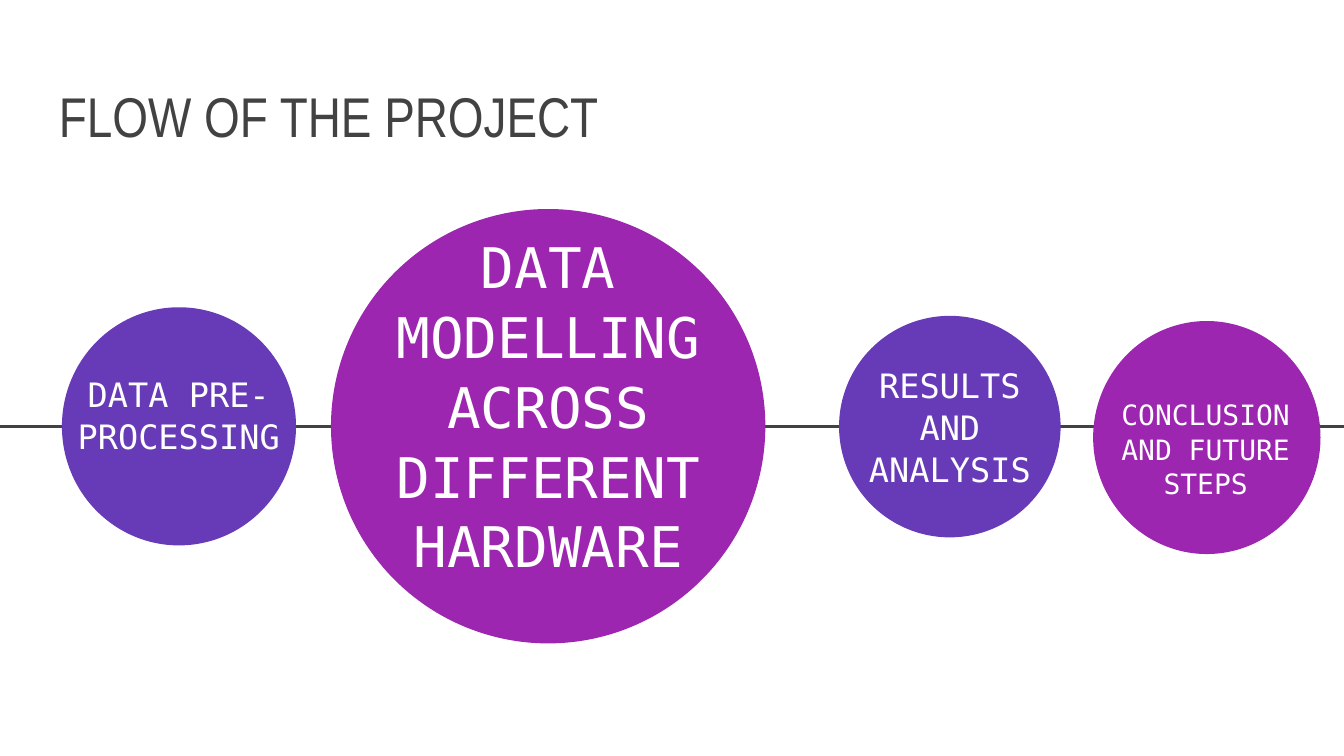
from dataclasses import dataclass

from lxml.etree import SubElement
from pptx import Presentation
from pptx.dml.color import RGBColor
from pptx.enum.shapes import MSO_CONNECTOR, MSO_SHAPE
from pptx.enum.text import MSO_ANCHOR, PP_ALIGN
from pptx.oxml.ns import qn
from pptx.slide import Slide
from pptx.util import Pt

WHITE = RGBColor(0xFF, 0xFF, 0xFF)
CHARCOAL = RGBColor(0x42, 0x42, 0x42)
VIOLET = RGBColor(0x67, 0x3A, 0xB7)
MAGENTA = RGBColor(0x9C, 0x26, 0xB0)

PAGE_WIDTH, PAGE_HEIGHT = 720, 405
FLOW_Y = 228.5
INSET = 7.2


@dataclass(frozen=True)
class Frame:
    left: float
    top: float
    width: float
    height: float

    def lengths(self) -> tuple[Pt, Pt, Pt, Pt]:
        return Pt(self.left), Pt(self.top), Pt(self.width), Pt(self.height)


@dataclass(frozen=True)
class TextStyle:
    font: str
    size: float
    color: RGBColor
    align: PP_ALIGN
    anchor: MSO_ANCHOR
    spacing: float


@dataclass(frozen=True)
class Stage:
    label: str
    size: float
    color: RGBColor
    circle: Frame
    label_frame: Frame


STAGES = [
    Stage("DATA PRE-PROCESSING", 18, VIOLET,
          Frame(33.2, 164.6, 125.4, 127.6), Frame(29.5, 198, 132.5, 47.5)),
    Stage("DATA MODELLING ACROSS DIFFERENT HARDWARE", 30, MAGENTA,
          Frame(177.3, 112, 232.7, 232.7), Frame(177.3, 139.7, 232.7, 154)),
    Stage("RESULTS AND ANALYSIS", 18, VIOLET,
          Frame(449.5, 169.2, 118.7, 118.7), Frame(449.5, 204.5, 118.7, 47.5)),
    Stage("CONCLUSION AND FUTURE STEPS", 15, MAGENTA,
          Frame(585.6, 172, 121.8, 124.8), Frame(591.2, 202.3, 109.4, 75.6)),
]


def add_text(page: Slide, text: str, frame: Frame, style: TextStyle) -> None:
    body = page.shapes.add_textbox(*frame.lengths()).text_frame
    body_format = {"word_wrap": True, "vertical_anchor": style.anchor}
    for side in ("left", "top", "right", "bottom"):
        body_format[f"margin_{side}"] = Pt(INSET)
    for name, value in body_format.items():
        setattr(body, name, value)
    para = body.paragraphs[0]
    para.alignment = style.align
    para.line_spacing = style.spacing
    span = para.add_run()
    span.text = text
    for name, value in {"name": style.font, "size": Pt(style.size)}.items():
        setattr(span.font, name, value)
    span.font.color.rgb = style.color


def add_flow_line(page: Slide) -> None:
    line = page.shapes.add_connector(
        MSO_CONNECTOR.STRAIGHT, Pt(0), Pt(FLOW_Y), Pt(PAGE_WIDTH), Pt(FLOW_Y))
    line.line.color.rgb = CHARCOAL
    line.line.width = Pt(1.5)
    SubElement(line._element.spPr, qn("a:effectLst"))


def add_stage(page: Slide, stage: Stage) -> None:
    circle = page.shapes.add_shape(MSO_SHAPE.OVAL, *stage.circle.lengths())
    circle.shadow.inherit = False
    circle.fill.solid()
    circle.fill.fore_color.rgb = stage.color
    circle.line.fill.background()
    style = TextStyle("DejaVu Sans Mono", stage.size, WHITE,
                      PP_ALIGN.CENTER, MSO_ANCHOR.MIDDLE, 1.04)
    add_text(page, stage.label, stage.label_frame, style)


def main() -> None:
    deck = Presentation()
    deck.slide_width, deck.slide_height = Pt(PAGE_WIDTH), Pt(PAGE_HEIGHT)
    page = deck.slides.add_slide(deck.slide_layouts[6])
    add_flow_line(page)
    title_style = TextStyle("Arial Narrow", 30, CHARCOAL,
                            PP_ALIGN.LEFT, MSO_ANCHOR.BOTTOM, 1.0)
    add_text(page, "FLOW OF THE PROJECT", Frame(24.5, 29.5, 671, 57.6), title_style)
    for stage in STAGES:
        add_stage(page, stage)
    deck.save("out.pptx")


if __name__ == "__main__":
    main()
